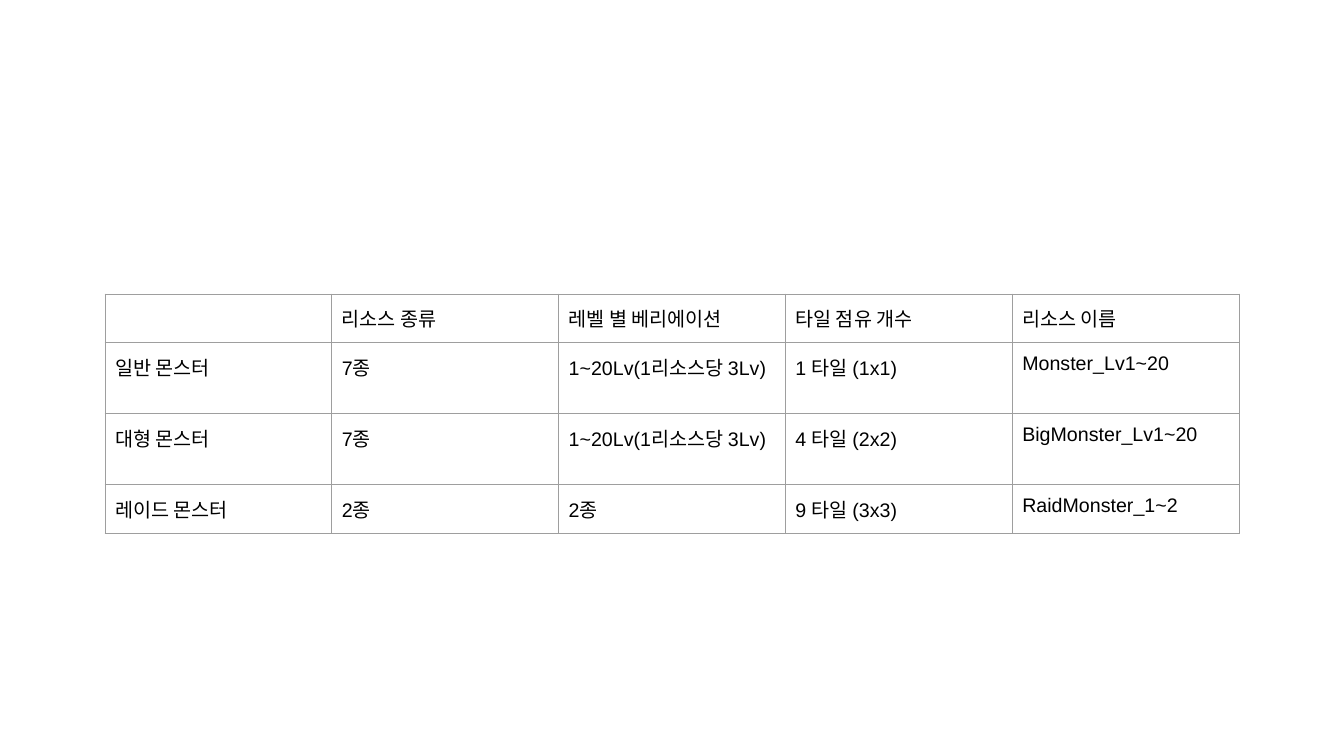
from dataclasses import dataclass

from lxml import etree
from pptx import Presentation
from pptx.dml.color import RGBColor
from pptx.oxml import ns
from pptx.util import Pt


@dataclass(frozen=True)
class Theme:
    font: str = "Arial"
    size: float = 14
    ink: str = "000000"
    rule: str = "9E9E9E"
    rule_width: float = 0.75
    inset: float = 7.2


THEME = Theme()
COL_WIDTH = 162
ROW_HEIGHT = 30.24
MONSTERS = [
    ["", "리소스 종류", "레벨 별 베리에이션", "타일 점유 개수", "리소스 이름"],
    ["일반 몬스터", "7종", "1~20Lv(1리소스당 3Lv)", "1 타일 (1x1)", "Monster_Lv1~20"],
    ["대형 몬스터", "7종", "1~20Lv(1리소스당 3Lv)", "4 타일 (2x2)", "BigMonster_Lv1~20"],
    ["레이드 몬스터", "2종", "2종", "9 타일 (3x3)", "RaidMonster_1~2"],
]


def set_attributes(target, values):
    for name, value in values.items():
        setattr(target, name, value)


def add_borders(cell):
    tc_pr = cell._tc.get_or_add_tcPr()
    for side in ("a:lnL", "a:lnR", "a:lnT", "a:lnB"):
        line = etree.SubElement(tc_pr, ns.qn(side), w=str(Pt(THEME.rule_width)))
        fill = etree.SubElement(line, ns.qn("a:solidFill"))
        etree.SubElement(fill, ns.qn("a:srgbClr"), val=THEME.rule)


def fill_cell(cell, content):
    margins = ("margin_left", "margin_top", "margin_right", "margin_bottom")
    set_attributes(cell, dict.fromkeys(margins, Pt(THEME.inset)))
    add_borders(cell)
    cell.fill.background()
    r = cell.text_frame.paragraphs[0].add_run()
    r.text = content
    set_attributes(r.font, {"name": THEME.font, "size": Pt(THEME.size)})
    r.font.color.rgb = RGBColor.from_string(THEME.ink)


def add_grid(s, rows, left, top):
    n_rows, n_cols = len(rows), len(rows[0])
    table = s.shapes.add_table(
        n_rows, n_cols, Pt(left), Pt(top),
        Pt(COL_WIDTH * n_cols), Pt(ROW_HEIGHT * n_rows)).table
    set_attributes(table, {"first_row": False, "horz_banding": False})
    for column in table.columns:
        column.width = Pt(COL_WIDTH)
    for row, contents in zip(table.rows, rows):
        row.height = Pt(ROW_HEIGHT)
        for cell, content in zip(row.cells, contents):
            fill_cell(cell, content)


def main():
    prs = Presentation()
    set_attributes(prs, {"slide_width": Pt(960), "slide_height": Pt(540)})
    s = prs.slides.add_slide(prs.slide_layouts[6])
    add_grid(s, MONSTERS, left=75, top=210)
    prs.save("out.pptx")


if __name__ == "__main__":
    main()
